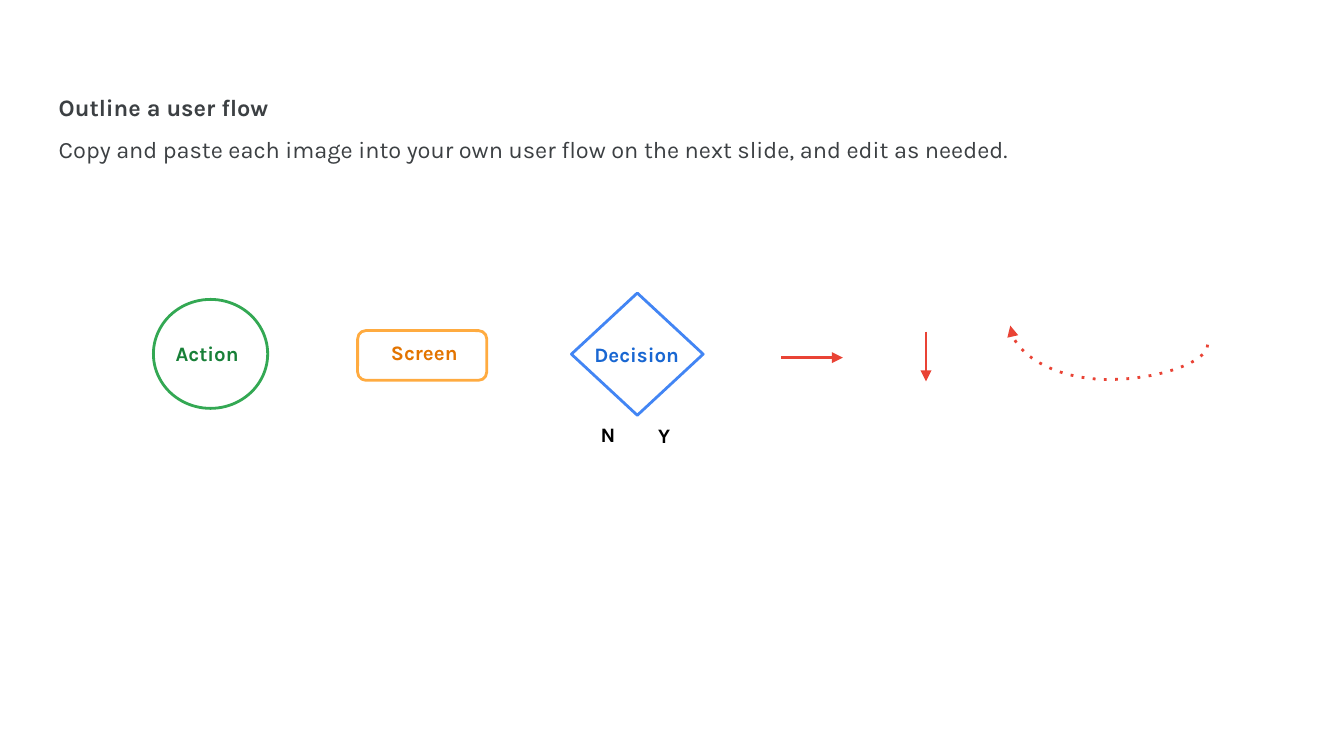
"""Build a slide with the building blocks of a user flow diagram."""
from lxml import etree
from pptx import Presentation
from pptx.dml.color import RGBColor
from pptx.enum.shapes import MSO_CONNECTOR, MSO_SHAPE
from pptx.enum.text import MSO_ANCHOR, MSO_AUTO_SIZE, PP_ALIGN
from pptx.oxml.ns import qn
from pptx.util import Cm, Pt

OVAL, ROUNDED, DIAMOND = MSO_SHAPE.OVAL, MSO_SHAPE.ROUNDED_RECTANGLE, MSO_SHAPE.DIAMOND
STRAIGHT, CURVE = MSO_CONNECTOR.STRAIGHT, MSO_CONNECTOR.CURVE
LEFT, CENTER = PP_ALIGN.LEFT, PP_ALIGN.CENTER
TOP, NO_FIT = MSO_ANCHOR.TOP, MSO_AUTO_SIZE.NONE

COLORS = {
    "white": "FFFFFF", "heading": "3C4043", "black": "000000", "arrow": "E94335",
    "action_line": "33A853", "action": "188038",
    "screen_line": "FFAB40", "screen": "E37400",
    "decision_line": "4285F4", "decision": "1967D2",
}


def color(name):
    return RGBColor.from_string(COLORS[name])


def write(paragraph, text, *, size=11, ink="black", bold=True, align=LEFT, spacing=None):
    run = paragraph.add_run()
    run.text = text
    run.font.name = "Karla"
    run.font.size = Pt(size)
    run.font.bold = bold
    run.font.color.rgb = color(ink)
    paragraph.alignment = align
    if spacing:
        paragraph.line_spacing = spacing


class FlowSlide:
    line_width = Pt(1.5)
    inset = Cm(0.25)

    def __init__(self, deck):
        self.slide = deck.slides.add_slide(deck.slide_layouts[5])
        self.slide.background.fill.solid()
        self.slide.background.fill.fore_color.rgb = color("white")

    def prepare_frame(self, frame):
        frame.word_wrap = True
        frame.auto_size = NO_FIT
        frame.vertical_anchor = TOP
        frame.margin_left = frame.margin_right = self.inset
        frame.margin_top = frame.margin_bottom = self.inset

    def title(self, heading, instruction, box):
        title = self.slide.shapes.title
        title.left, title.top, title.width, title.height = map(Cm, box)
        frame = title.text_frame
        self.prepare_frame(frame)
        style = {"size": 12.6, "ink": "heading", "spacing": 1.5}
        write(frame.paragraphs[0], heading, **style)
        write(frame.add_paragraph(), instruction, bold=False, **style)

    def label(self, group, text, box, **style):
        frame = group.shapes.add_textbox(*map(Cm, box)).text_frame
        self.prepare_frame(frame)
        write(frame.paragraphs[0], text, **style)

    def node(self, kind, text, ink, box, label_box):
        group = self.slide.shapes.add_group_shape()
        outline = group.shapes.add_shape(kind, *map(Cm, box))
        outline.shadow.inherit = False
        outline.fill.background()
        outline.line.color.rgb = color(f"{ink}_line")
        outline.line.width = self.line_width
        self.label(group, text, label_box, ink=ink, align=CENTER)
        return group

    def arrow(self, start, end, kind=STRAIGHT, dash=None):
        arrow = self.slide.shapes.add_connector(kind, *map(Cm, start + end))
        arrow.line.color.rgb = color("arrow")
        arrow.line.width = self.line_width
        properties = arrow._element.spPr
        line = properties.find(qn("a:ln"))
        if dash:
            etree.SubElement(line, qn("a:prstDash"), val=dash)
        etree.SubElement(line, qn("a:tailEnd"), type="triangle")
        etree.SubElement(properties, qn("a:effectLst"))
        return properties

    def return_arrow(self, start, end, bend):
        properties = self.arrow(start, end, CURVE, "dot")
        properties.find(qn("a:xfrm")).set("rot", str(90 * 60000))
        adjustments = properties.find(qn("a:prstGeom")).find(qn("a:avLst"))
        etree.SubElement(adjustments, qn("a:gd"), name="adj1",
                         fmla=f"val {round(bend * 100000)}")


def main():
    deck = Presentation()
    deck.slide_width, deck.slide_height = Cm(25.4), Cm(14.29)
    flow = FlowSlide(deck)
    flow.title(
        "Outline a user flow",
        "Copy and paste each image into your own user flow on the next slide, and edit as needed.",
        (0.86, 1.24, 23.67, 1.83),
    )
    flow.node(OVAL, "Action ", "action", (2.9, 5.66, 2.16, 2.06), (2.57, 6.2, 2.79, 0.99))
    flow.node(ROUNDED, "Screen", "screen", (6.76, 6.25, 2.44, 0.94), (6.43, 6.17, 3.18, 1.42))
    flow.arrow((14.76, 6.76), (15.93, 6.76))
    flow.arrow((17.5, 6.27), (17.5, 7.21))
    flow.return_arrow((21.14, 4.47), (20.78, 8.2), bend=-1.83)
    decision = flow.node(DIAMOND, "Decision", "decision",
                         (10.8, 5.54, 2.49, 2.31), (10.64, 6.22, 2.79, 1.12))
    flow.label(decision, "Y", (12.19, 7.75, 0.79, 0.61))
    flow.label(decision, "N", (11.1, 7.72, 0.79, 1.02))
    deck.save("out.pptx")


if __name__ == "__main__":
    main()
